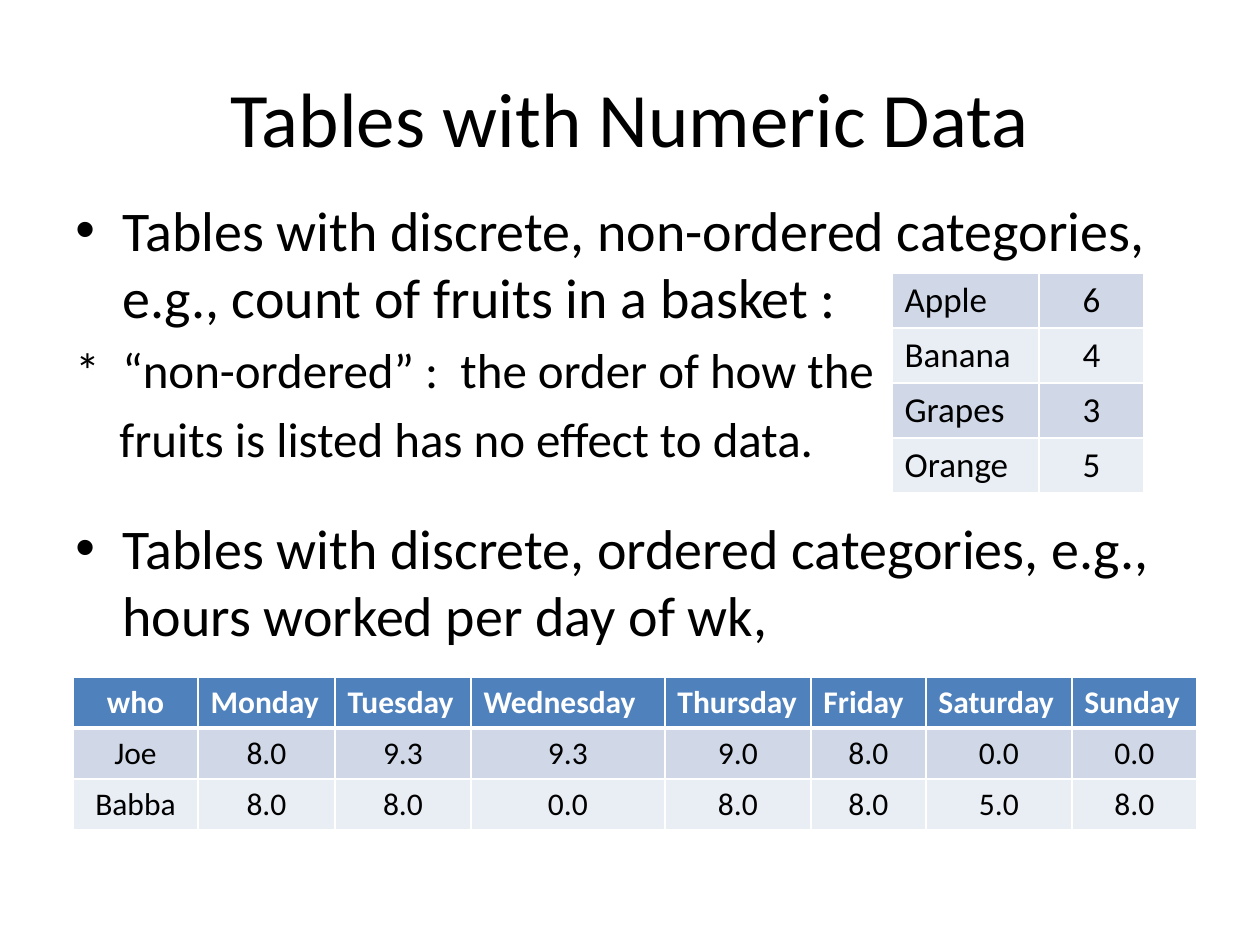
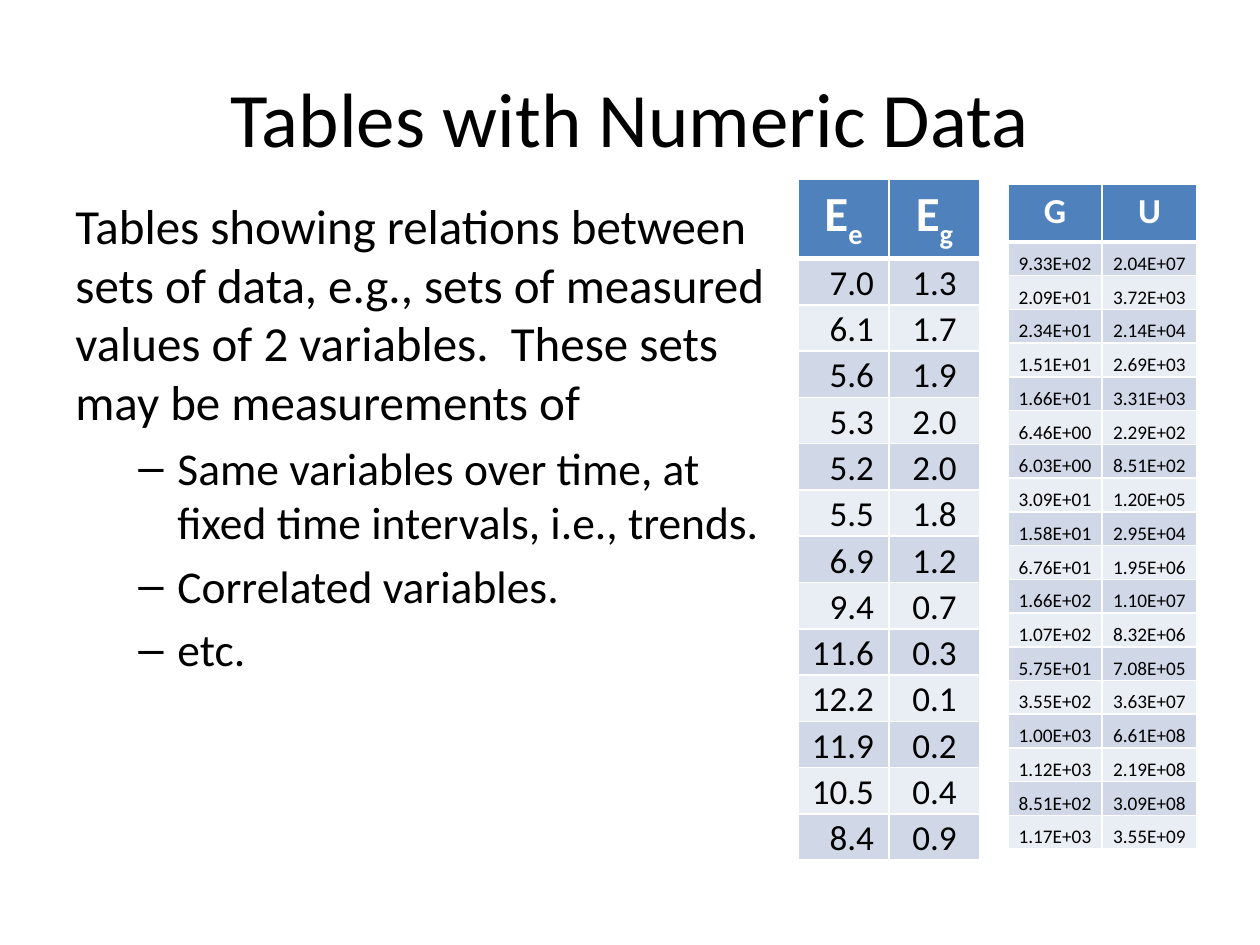
from dataclasses import dataclass

from lxml import etree
from pptx import Presentation
from pptx import util as u
from pptx.dml.color import RGBColor
from pptx.enum import text
from pptx.oxml import ns

PIXEL = u.Inches(1) / 126
LEFT, CENTER, RIGHT = text.PP_ALIGN.LEFT, text.PP_ALIGN.CENTER, text.PP_ALIGN.RIGHT


def px(pixels):
    return u.Emu(round(pixels * PIXEL))


@dataclass(frozen=True)
class Theme:
    font: str = "Calibri"
    ink: str = "000000"
    paper: str = "FFFFFF"
    header: str = "4F81BD"
    bands: tuple = ("D0D8E8", "E9EDF4")
    title_size: int = 44
    large: int = 32
    medium: int = 28
    sub: int = 26
    cell: int = 20
    small_cell: int = 18
    tiny_cell: int = 11


@dataclass(frozen=True)
class Item:
    """A body paragraph; margin is the text edge and hang the bullet's room."""
    words: str
    size: int
    margin: int = 0
    hang: int = 0
    bullet: str = ""
    extra_gap: int = 0


class Deck:
    def __init__(self, theme):
        self.theme = theme
        self.presentation = Presentation()
        self.presentation.slide_width = u.Inches(10)
        self.presentation.slide_height = u.Inches(7.5)
        self.slide = None

    def format_run(self, run, size, color=None, bold=False):
        run.font.name = self.theme.font
        run.font.size = u.Pt(size)
        run.font.bold = bold
        run.font.color.rgb = RGBColor.from_string(color or self.theme.ink)

    def add_slide(self, title):
        self.slide = self.presentation.slides.add_slide(self.presentation.slide_layouts[5])
        shape = self.slide.shapes.title
        shape.left, shape.top, shape.width, shape.height = map(px, (63, 38, 1134, 157))
        frame = shape.text_frame
        frame.text = title
        frame.vertical_anchor = text.MSO_ANCHOR.MIDDLE
        frame.paragraphs[0].alignment = CENTER
        self.format_run(frame.paragraphs[0].runs[0], self.theme.title_size)

    def add_body(self, width, items):
        shape = self.slide.shapes.add_textbox(*map(px, (63, 189, width, 624)))
        frame = shape.text_frame
        frame.word_wrap = True
        for index, item in enumerate(items):
            paragraph = frame.paragraphs[0] if index == 0 else frame.add_paragraph()
            paragraph.text = item.words
            paragraph.space_before = u.Pt(0.2 * item.size + item.extra_gap)
            self.format_run(paragraph.runs[0], item.size)
            properties = paragraph._p.get_or_add_pPr()
            properties.set("marL", str(px(item.margin)))
            properties.set("indent", str(px(-item.hang)))
            if item.bullet:
                etree.SubElement(properties, ns.qn("a:buFont"), typeface="Arial")
                etree.SubElement(properties, ns.qn("a:buChar"), char=item.bullet)

    def add_borders(self, cell, bottom_points):
        properties = cell._tc.get_or_add_tcPr()
        for side, points in (("L", 1), ("R", 1), ("T", 1), ("B", bottom_points)):
            line = etree.SubElement(properties, ns.qn(f"a:ln{side}"), w=str(u.Pt(points)))
            fill = etree.SubElement(line, ns.qn("a:solidFill"))
            etree.SubElement(fill, ns.qn("a:srgbClr"), val=self.theme.paper)

    def fill_cell(self, cell, words, size, alignment, is_header, band):
        self.add_borders(cell, 3 if is_header else 1)
        cell.fill.solid()
        color = self.theme.header if is_header else self.theme.bands[band]
        cell.fill.fore_color.rgb = RGBColor.from_string(color)
        paragraph = cell.text_frame.paragraphs[0]
        paragraph.alignment = alignment
        # An underscore marks the start of a subscript
        for index, part in enumerate(words.split("_")):
            run = paragraph.add_run()
            run.text = part
            self.format_run(run, size, self.theme.paper if is_header else None, is_header)
            if index:
                run._r.get_or_add_rPr().set("baseline", "-25000")

    def add_table(self, place, columns, rows, size, alignments, header=None,
                  header_size=None, header_height=0, header_alignments=None, tight=False):
        """Body rows share equally the height that the header leaves."""
        left, top, height = place
        lines = ([header] if header else []) + rows
        shape = self.slide.shapes.add_table(
            len(lines), len(columns), *map(px, (left, top, sum(columns), height)))
        table = shape.table
        table.first_row = bool(header)
        for column, width in zip(table.columns, columns):
            column.width = px(width)
        row_height = (height - header_height) / len(rows)
        for index, line in enumerate(lines):
            is_header = bool(header) and index == 0
            table.rows[index].height = px(header_height if is_header else row_height)
            row_alignments = (header_alignments or alignments) if is_header else alignments
            band = (index - bool(header)) % 2
            for column, words in enumerate(line):
                cell = table.cell(index, column)
                alignment = row_alignments[column]
                self.fill_cell(cell, words, header_size if is_header else size,
                               alignment, is_header, band)
                if tight and not is_header:
                    cell.vertical_anchor = text.MSO_ANCHOR.BOTTOM
                    cell.margin_left = cell.margin_top = px(1)
                    cell.margin_right = px(15 if alignment == RIGHT else 1)
                    cell.margin_bottom = 0


theme = Theme()
deck = Deck(theme)
TITLE = "Tables with Numeric Data"

# Slide 1: tables by category
deck.add_slide(TITLE)
deck.add_body(1134, [
    Item("Tables with discrete, non-ordered categories, e.g., count of fruits in a basket :",
         theme.large, 47, 47, "•"),
    Item("*\t“non-ordered” :  the order of how the", theme.medium, 47, 47),
    Item("fruits is listed has no effect to data.", theme.medium, 44),
    Item("Tables with discrete, ordered categories, e.g., hours worked per day of wk,",
         theme.large, 47, 47, "•", extra_gap=20),
])
fruits = [["Apple", "6"], ["Banana", "4"], ["Grapes", "3"], ["Orange", "5"]]
deck.add_table((892, 273, 220), [147, 105], fruits, theme.cell, [LEFT, CENTER])

days = ["Monday", "Tuesday", "Wednesday", "Thursday", "Friday", "Saturday", "Sunday"]
hours = ["Joe 8.0 9.3 9.3 9.0 8.0 0.0 0.0".split(),
         "Babba 8.0 8.0 0.0 8.0 8.0 5.0 8.0".split()]
deck.add_table((73, 677, 153), [125, 137, 136, 194, 146, 115, 146, 125], hours,
               theme.small_cell, [CENTER] * 8, header=["who"] + days,
               header_size=theme.small_cell, header_height=51,
               header_alignments=[CENTER] + [LEFT] * 7)

# Slide 2: tables of related variables
deck.add_slide(TITLE)
points = ["Same variables over time, at fixed time intervals, i.e., trends.",
          "Correlated variables.", "etc."]
deck.add_body(724, [
    Item("Tables showing relations between sets of data, e.g., sets of measured values "
         "of 2 variables.  These sets may be measurements of", theme.medium),
    *[Item(point, theme.sub, 102, 39, "–") for point in points],
])

e_values = ["7.0", "6.1", "5.6", "5.3", "5.2", "5.5", "6.9",
            "9.4", "11.6", "12.2", "11.9", "10.5", "8.4"]
g_values = ["1.3", "1.7", "1.9", "2.0", "2.0", "1.8", "1.2",
            "0.7", "0.3", "0.1", "0.2", "0.4", "0.9"]
deck.add_table((798, 179, 673), [91, 91], list(zip(e_values, g_values)), theme.cell,
               [RIGHT, CENTER], header=["E_e", "E_g"], header_size=theme.medium,
               header_height=71, header_alignments=[CENTER] * 2, tight=True)

measurements = [
    ("9.33E+02", "2.04E+07"), ("2.09E+01", "3.72E+03"), ("2.34E+01", "2.14E+04"),
    ("1.51E+01", "2.69E+03"), ("1.66E+01", "3.31E+03"), ("6.46E+00", "2.29E+02"),
    ("6.03E+00", "8.51E+02"), ("3.09E+01", "1.20E+05"), ("1.58E+01", "2.95E+04"),
    ("6.76E+01", "1.95E+06"), ("1.66E+02", "1.10E+07"), ("1.07E+02", "8.32E+06"),
    ("5.75E+01", "7.08E+05"), ("3.55E+02", "3.63E+07"), ("1.00E+03", "6.61E+08"),
    ("1.12E+03", "2.19E+08"), ("8.51E+02", "3.09E+08"), ("1.17E+03", "3.55E+09"),
]
deck.add_table((1008, 184, 666), [94, 95], measurements, theme.tiny_cell, [CENTER] * 2,
               header=["G", "U"], header_size=theme.cell, header_height=58, tight=True)

deck.presentation.save("out.pptx")
